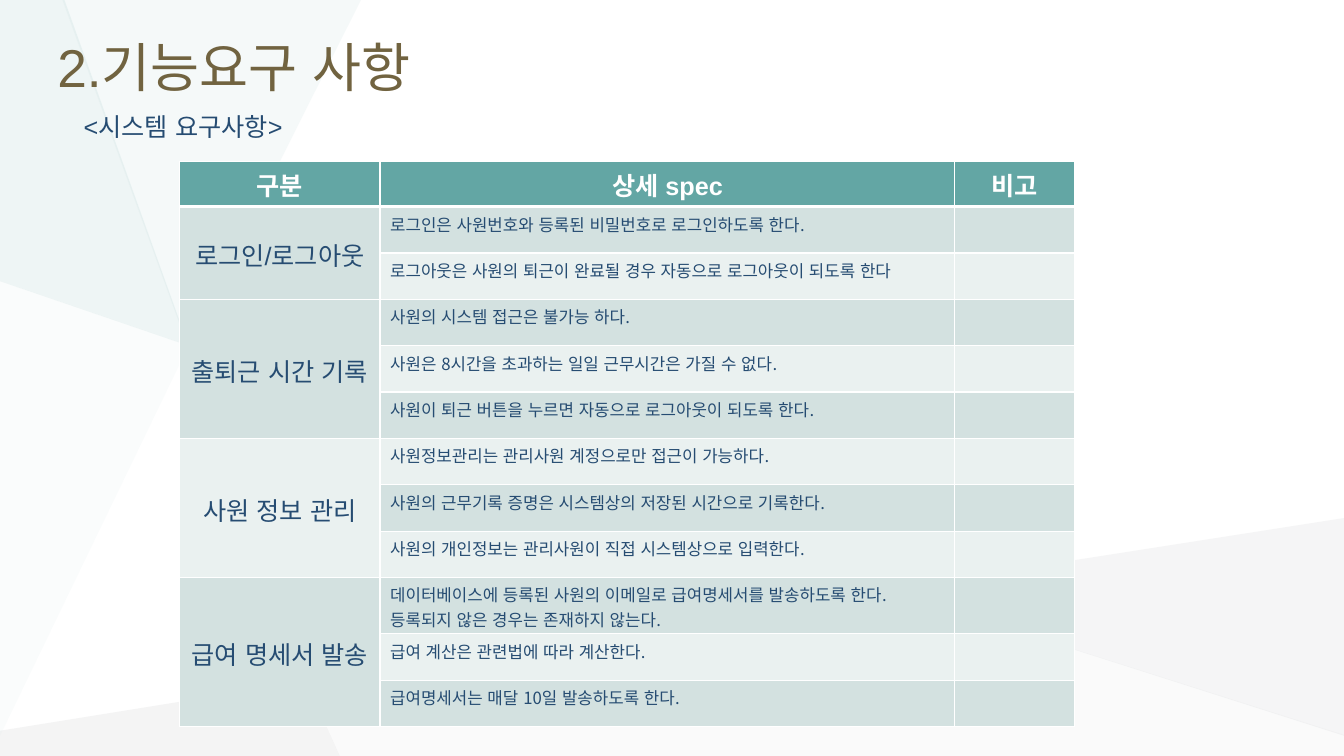
from lxml import etree
from pptx import Presentation
from pptx.dml.color import RGBColor
from pptx.enum.lang import MSO_LANGUAGE_ID
from pptx.enum.text import MSO_ANCHOR, PP_ALIGN
from pptx.oxml.ns import qn
from pptx.util import Inches, Pt

WIDTH, HEIGHT = Inches(13.33), Inches(7.5)
TOP, MIDDLE = MSO_ANCHOR.TOP, MSO_ANCHOR.MIDDLE
LEFT, CENTER = PP_ALIGN.LEFT, PP_ALIGN.CENTER
KOREAN = MSO_LANGUAGE_ID.KOREAN

WHITE = RGBColor(0xFF, 0xFF, 0xFF)
BROWN = RGBColor(0x71, 0x63, 0x40)
NAVY = RGBColor(0x26, 0x4C, 0x72)
TEAL = RGBColor(0x63, 0xA6, 0xA4)
BAND_DARK = RGBColor(0xD3, 0xE1, 0xE0)
BAND_LIGHT = RGBColor(0xEA, 0xF1, 0xF0)
PALE_GRAY = RGBColor(0xF3, 0xF2, 0xF2)
MID_GRAY = RGBColor(0xB6, 0xB8, 0xBA)
SOFT_GRAY = RGBColor(0xC6, 0xC8, 0xCA)
PALE_MINT = RGBColor(0xE0, 0xED, 0xED)
MINT = RGBColor(0xC1, 0xDB, 0xDB)

HEAD_FONT, BODY_FONT = "Arial", "Noto Sans CJK KR"

# Colour, opacity in percent, corners in percent of the slide's width and height
FACETS = [
    (PALE_GRAY, 26, [(14.25, 45.87), (22.81, 90.13), (65.94, 78)]),
    (MID_GRAY, 15, [(22.81, 90.13), (0, 96.67), (0, 100), (25.28, 100)]),
    (PALE_MINT, 31, [(26.86, 0), (4.65, 0), (13.95, 45.73)]),
    (SOFT_GRAY, 17, [(100, 68.53), (65.94, 78), (100, 97.33)]),
    (MID_GRAY, 6, [(65.94, 78), (22.88, 90.13), (25.28, 100), (100, 100), (100, 97.2)]),
    (MINT, 27, [(4.8, 0), (0, 0), (0, 37.2), (14.03, 45.73)]),
    (MINT, 8, [(0, 37.2), (0, 97.33), (14.03, 45.73)]),
]

HEADINGS = ["구분", "상세 spec", "비고"]
REQUIREMENTS = [
    ("로그인/로그아웃", [
        "로그인은 사원번호와 등록된 비밀번호로 로그인하도록 한다.",
        "로그아웃은 사원의 퇴근이 완료될 경우 자동으로 로그아웃이 되도록 한다"]),
    ("출퇴근 시간 기록", [
        "사원의 시스템 접근은 불가능 하다.",
        "사원은 8시간을 초과하는 일일 근무시간은 가질 수 없다.",
        "사원이 퇴근 버튼을 누르면 자동으로 로그아웃이 되도록 한다."]),
    ("사원 정보 관리", [
        "사원정보관리는 관리사원 계정으로만 접근이 가능하다.",
        "사원의 근무기록 증명은 시스템상의 저장된 시간으로 기록한다.",
        "사원의 개인정보는 관리사원이 직접 시스템상으로 입력한다."]),
    ("급여 명세서 발송", [
        "데이터베이스에 등록된 사원의 이메일로 급여명세서를 발송하도록 한다. "
        "등록되지 않은 경우는 존재하지 않는다.",
        "급여 계산은 관련법에 따라 계산한다.",
        "급여명세서는 매달 10일 발송하도록 한다."]),
]
COLUMN_WIDTHS = [1.99, 5.7, 1.19]
ROW_HEIGHT, HEADER_HEIGHT, TALL_ROW, TALL_HEIGHT = 0.46, 0.45, 9, 0.56


def add_facet(page, color, opacity, corners):
    """Draw one translucent polygon of the backdrop."""
    points = [(round(x * 100), round(y * 100)) for x, y in corners]
    builder = page.shapes.build_freeform(*points[0], scale=(WIDTH / 10000, HEIGHT / 10000))
    builder.add_line_segments(points[1:], close=True)
    facet = builder.convert_to_shape()
    facet.shadow.inherit = False
    facet.line.fill.background()
    facet.fill.solid()
    facet.fill.fore_color.rgb = color
    tint = facet.fill._xPr.find(f".//{qn('a:srgbClr')}")
    etree.SubElement(tint, qn("a:alpha"), val=str(opacity * 1000))


def write(frame, text, size, color, font=HEAD_FONT, align=LEFT, bold=False):
    para = frame.paragraphs[0]
    para.alignment = align
    span = para.add_run()
    span.text = text
    span.font.size = Pt(size)
    span.font.name = font
    span.font.bold = bold
    span.font.color.rgb = color
    span.font.language_id = KOREAN
    etree.SubElement(span.font._element, qn("a:ea"), typeface=BODY_FONT)


def add_text(page, place, text, size, color, anchor=TOP, indent=0.1):
    box = page.shapes.add_textbox(*(Inches(length) for length in place))
    frame = box.text_frame
    frame.word_wrap = True
    frame.vertical_anchor = anchor
    frame.margin_left = Inches(indent)
    write(frame, text, size, color)


def style_cell(cell, fill, top=1, bottom=1):
    """Set insets, white borders (widths in points) and the fill."""
    cell.margin_top, cell.margin_bottom = Inches(0.05), Inches(0.02)
    properties = cell._tc.get_or_add_tcPr()
    for side, width in zip("LRTB", (1, 1, top, bottom)):
        line = etree.SubElement(properties, qn(f"a:ln{side}"), w=str(Pt(width)))
        solid = etree.SubElement(line, qn("a:solidFill"))
        etree.SubElement(solid, qn("a:srgbClr"), val=str(WHITE))
    cell.fill.solid()
    cell.fill.fore_color.rgb = fill


def add_requirements(page):
    row_count = 1 + sum(len(details) for _, details in REQUIREMENTS)
    heights = [HEADER_HEIGHT] + [ROW_HEIGHT] * (row_count - 1)
    heights[TALL_ROW] = TALL_HEIGHT
    table = page.shapes.add_table(
        row_count, len(COLUMN_WIDTHS), Inches(1.78), Inches(1.6),
        Inches(sum(COLUMN_WIDTHS)), Inches(sum(heights))).table
    for column, width in zip(table.columns, COLUMN_WIDTHS):
        column.width = Inches(width)
    for number, height in enumerate(heights):
        table.rows[number].height = Inches(height)
        band = BAND_DARK if number % 2 else BAND_LIGHT
        for cell in table.rows[number].cells:
            style_cell(cell, band if number else TEAL,
                       top=3 if number == 1 else 1, bottom=1 if number else 3)

    for column, heading in enumerate(HEADINGS):
        write(table.cell(0, column).text_frame, heading, 18, WHITE, align=CENTER, bold=True)
    first = 1
    for category, details in REQUIREMENTS:
        label = table.cell(first, 0)
        label.merge(table.cell(first + len(details) - 1, 0))
        label.vertical_anchor = MIDDLE
        write(label.text_frame, category, 18, NAVY, align=CENTER)
        for number, detail in enumerate(details, first):
            write(table.cell(number, 1).text_frame, detail, 12, NAVY, font=BODY_FONT)
        first += len(details)


def main():
    deck = Presentation()
    deck.slide_width, deck.slide_height = WIDTH, HEIGHT
    page = deck.slides.add_slide(deck.slide_layouts[6])
    for facet in FACETS:
        add_facet(page, *facet)
    add_text(page, (0.47, 0.14, 12.36, 1.03), "2.기능요구 사항", 38, BROWN, anchor=MIDDLE)
    add_text(page, (0.66, 1.05, 2.59, 0.39), "<시스템 요구사항>", 18, NAVY, indent=0.17)
    add_requirements(page)
    deck.save("out.pptx")


if __name__ == "__main__":
    main()
